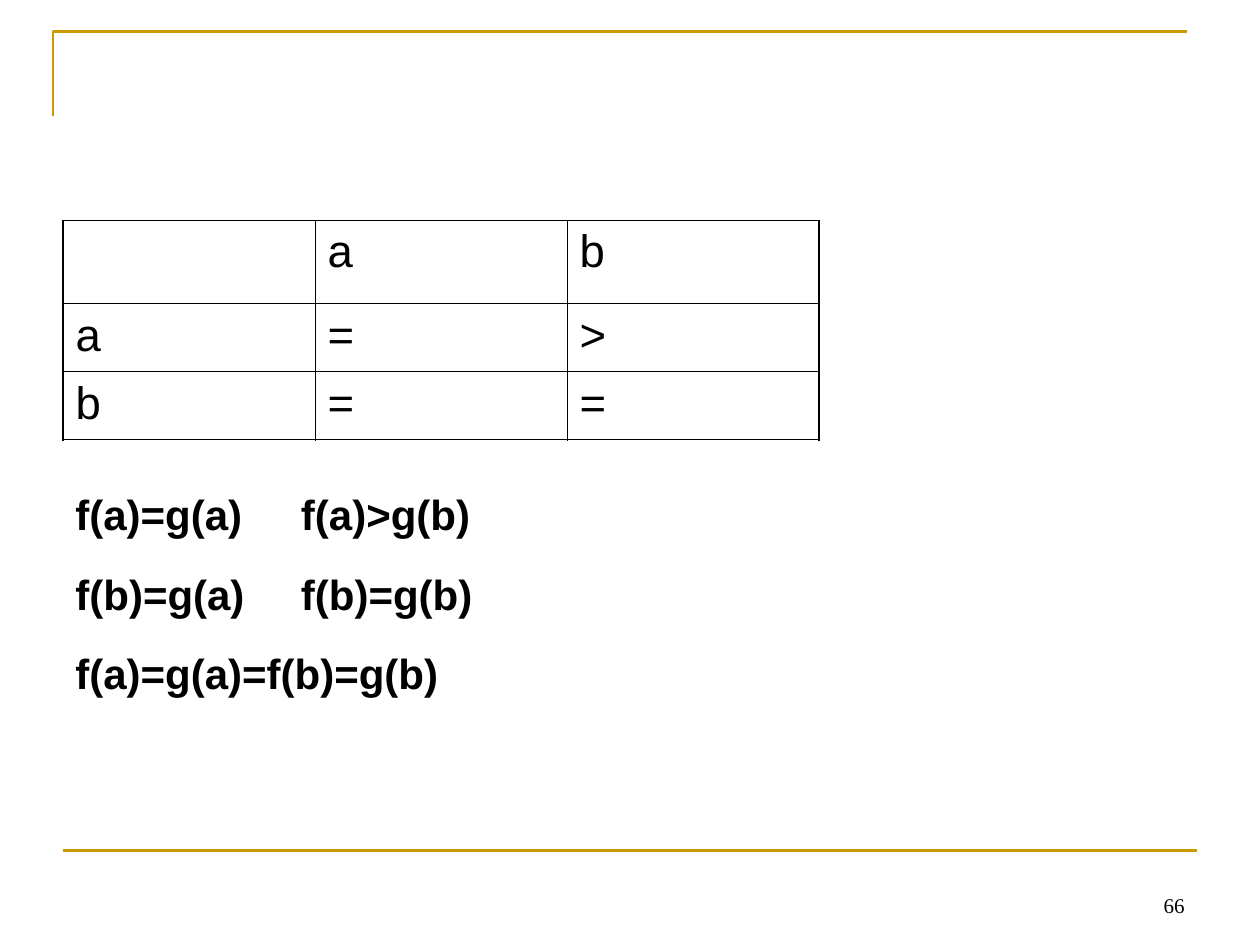
from lxml.etree import SubElement as Sub
from pptx import Presentation
from pptx.dml.color import RGBColor as Rgb
from pptx.enum.shapes import MSO_CONNECTOR as Link
from pptx.enum.text import MSO_ANCHOR as Anchor, PP_ALIGN as Align
from pptx.oxml.ns import qn
from pptx.util import Inches, Pt

BLACK = "000000"
GOLD = "CC9900"


def color(code):
    return Rgb.from_string(code)


class Deck:
    def __init__(self, slide, face):
        self.slide = slide
        self.shapes = slide.shapes
        self.face = face

    def style(self, para, size, bold=False, face=None):
        font = para.font
        font.name = face or self.face
        font.size = Pt(size)
        font.bold = bold
        font.color.rgb = color(BLACK)

    def stroke(self, shape):
        shape.line.color.rgb = color(GOLD)
        shape.line.width = Pt(1.5)

    def corner(self, left, top, width, height):
        pen = self.shapes.build_freeform(left, top + height)
        pen.add_line_segments([(left, top), (left + width, top)], close=False)
        shape = pen.convert_to_shape()
        shape.shadow.inherit = False
        shape.fill.background()
        self.stroke(shape)

    def rule(self, left, top, right):
        line = self.shapes.add_connector(Link.STRAIGHT, left, top, right, top)
        self.stroke(line)
        Sub(line._element.spPr, qn("a:effectLst"))

    def text(self, box, lines, size, bold=False, face=None, align=Align.LEFT,
             anchor=Anchor.TOP, gap=0, tab=None):
        frame = self.shapes.add_textbox(*box).text_frame
        frame.word_wrap = True
        frame.vertical_anchor = anchor
        for i, line in enumerate(lines):
            para = frame.add_paragraph() if i else frame.paragraphs[0]
            para.text = line
            para.alignment = align
            if i:
                para.space_before = Pt(gap)
            if tab:
                stops = Sub(para._p.get_or_add_pPr(), qn("a:tabLst"))
                Sub(stops, qn("a:tab"), pos=str(tab), algn="l")
            self.style(para, size, bold, face)

    def border(self, cell, outer):
        props = cell._tc.get_or_add_tcPr()
        for side, edge in outer.items():
            width = Pt(1.08 if edge else 0.45)
            line = Sub(props, qn(f"a:ln{side}"), w=str(width))
            fill = Sub(line, qn("a:solidFill"))
            Sub(fill, qn("a:srgbClr"), val=BLACK)

    def table(self, box, rows, heights, size):
        last, end = len(rows) - 1, len(rows[0]) - 1
        grid = self.shapes.add_table(last + 1, end + 1, *box).table
        grid.first_row = grid.horz_banding = False
        for r, row in enumerate(rows):
            grid.rows[r].height = Inches(heights[r])
            for c, word in enumerate(row):
                cell = grid.cell(r, c)
                self.border(cell, {"L": c == 0, "R": c == end,
                                   "T": r == 0, "B": r == last})
                cell.fill.background()
                cell.text = word
                self.style(cell.text_frame.paragraphs[0], size)


def main():
    show = Presentation()
    show.slide_width, show.slide_height = Inches(10), Inches(7.5)
    deck = Deck(show.slides.add_slide(show.slide_layouts[6]), "Arial")

    deck.corner(Inches(0.42), Inches(0.25), Inches(9), Inches(0.67))
    deck.rule(Inches(0.5), Inches(6.75), Inches(9.5))
    deck.text((Inches(7.17), Inches(6.83), Inches(2.33), Inches(0.5)), ["66"],
              12, face="Times New Roman", align=Align.RIGHT,
              anchor=Anchor.BOTTOM)
    deck.table((Inches(0.5), Inches(1.75), Inches(6), Inches(1.74)),
               [["", "a", "b"], ["a", "=", ">"], ["b", "=", "="]],
               [0.66, 0.54, 0.54], 26)
    deck.text((Inches(0.5), Inches(3.83), Inches(7.18), Inches(1.72)),
              ["f(a)=g(a)\tf(a)>g(b)", "f(b)=g(a)\tf(b)=g(b)",
               "f(a)=g(a)=f(b)=g(b)"],
              24, bold=True, gap=16.5, tab=Inches(1.79))
    show.save("out.pptx")


if __name__ == "__main__":
    main()
